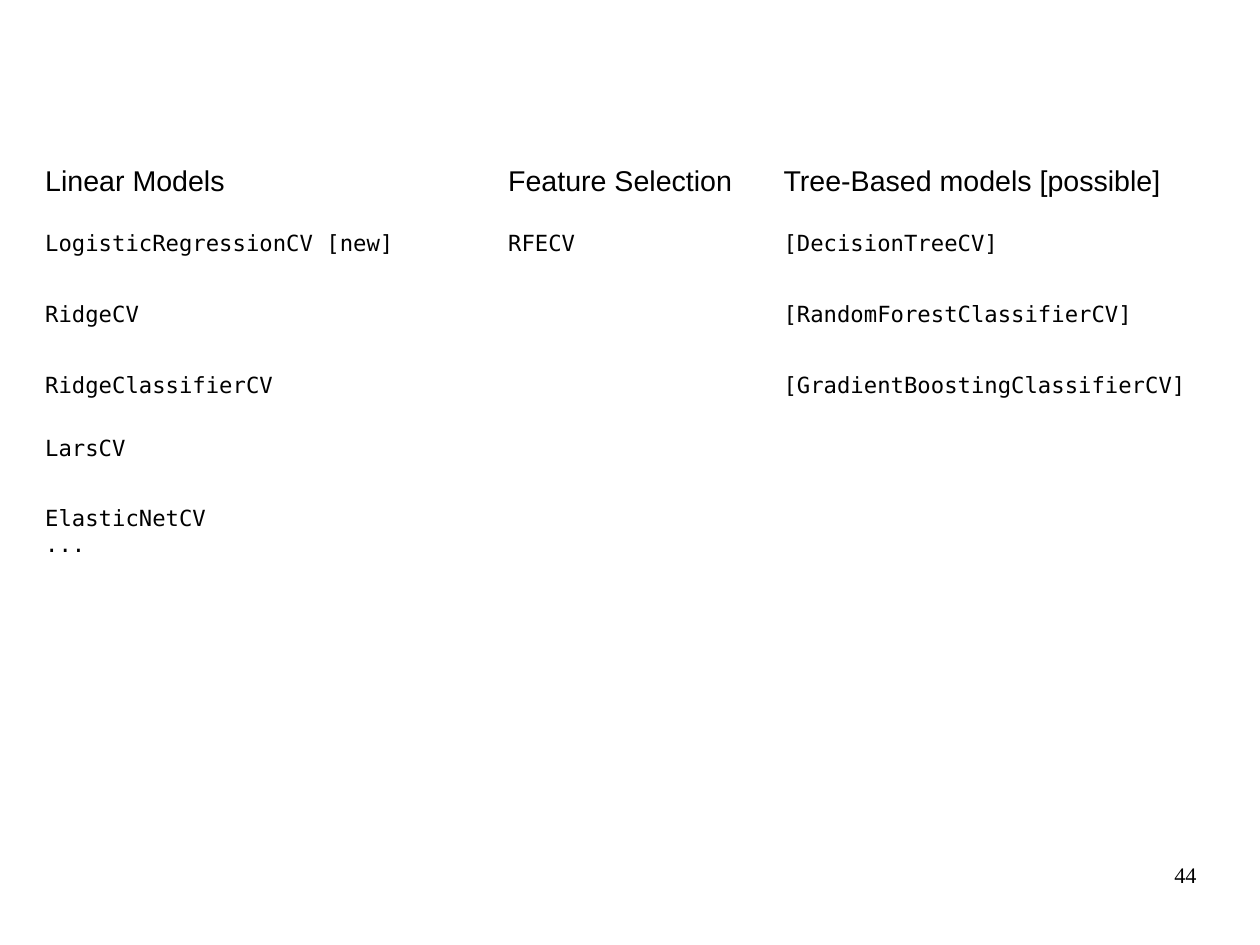
"""Builds the slide that lists cross-validated estimators by family."""
from dataclasses import dataclass

import pptx
import pptx.dml.color
import pptx.enum.text
import pptx.slide
import pptx.table
import pptx.text.text
import pptx.util
from pptx.util import Cm

BLACK = pptx.dml.color.RGBColor(0x00, 0x00, 0x00)
WHITE = pptx.dml.color.RGBColor(0xFF, 0xFF, 0xFF)
BLANK_LAYOUT = 6


@dataclass(frozen=True)
class Typeface:
    name: str
    points: int


@dataclass(frozen=True)
class Family:
    heading: str
    width: float
    estimators: tuple[str, ...]


HEADING = Typeface("Arial", 18)
CODE = Typeface("DejaVu Sans Mono", 14)
NUMBER = Typeface("Times New Roman", 14)

ROW_HEIGHTS = (1.45, 1.57, 1.57, 1.4, 1.57, 1.47)
FAMILIES = (
    Family("Linear Models", 10.29, (
        "LogisticRegressionCV [new]", "RidgeCV", "RidgeClassifierCV",
        "LarsCV", "ElasticNetCV\n...")),
    Family("Feature Selection", 6.12, ("RFECV",)),
    Family("Tree-Based models [possible]", 9.55, (
        "[DecisionTreeCV]", "[RandomForestClassifierCV]",
        "[GradientBoostingClassifierCV]")),
)


def write(frame: pptx.text.text.TextFrame, words: str, face: Typeface) -> None:
    frame.text = words
    for paragraph in frame.paragraphs:
        paragraph.font.name = face.name
        paragraph.font.size = pptx.util.Pt(face.points)
        paragraph.font.color.rgb = BLACK


def fill_family(grid: pptx.table.Table, column: int, family: Family) -> None:
    grid.columns[column].width = Cm(family.width)
    write(grid.cell(0, column).text_frame, family.heading, HEADING)
    for row, estimator in enumerate(family.estimators, start=1):
        write(grid.cell(row, column).text_frame, estimator, CODE)


def add_families(slide: pptx.slide.Slide) -> None:
    grid = slide.shapes.add_table(
        len(ROW_HEIGHTS), len(FAMILIES), Cm(0.75), Cm(3.56),
        Cm(sum(family.width for family in FAMILIES)),
        Cm(sum(ROW_HEIGHTS))).table
    grid.first_row = False
    grid.horz_banding = False
    for row, height in zip(grid.rows, ROW_HEIGHTS):
        row.height = Cm(height)
    for cell in grid.iter_cells():
        cell.fill.solid()
        cell.fill.fore_color.rgb = WHITE
    for column, family in enumerate(FAMILIES):
        fill_family(grid, column, family)


def add_page_number(slide: pptx.slide.Slide, number: str) -> None:
    frame = slide.shapes.add_textbox(
        Cm(20.07), Cm(19.13), Cm(6.52), Cm(1.45)).text_frame
    frame.word_wrap = True
    frame.margin_left = frame.margin_right = 0
    frame.margin_top = frame.margin_bottom = 0
    write(frame, number, NUMBER)
    frame.paragraphs[0].alignment = pptx.enum.text.PP_ALIGN.RIGHT


def main() -> None:
    deck = pptx.Presentation()
    deck.slide_width, deck.slide_height = Cm(28), Cm(21)
    slide = deck.slides.add_slide(deck.slide_layouts[BLANK_LAYOUT])
    add_families(slide)
    add_page_number(slide, "44")
    deck.save("out.pptx")


if __name__ == "__main__":
    main()
